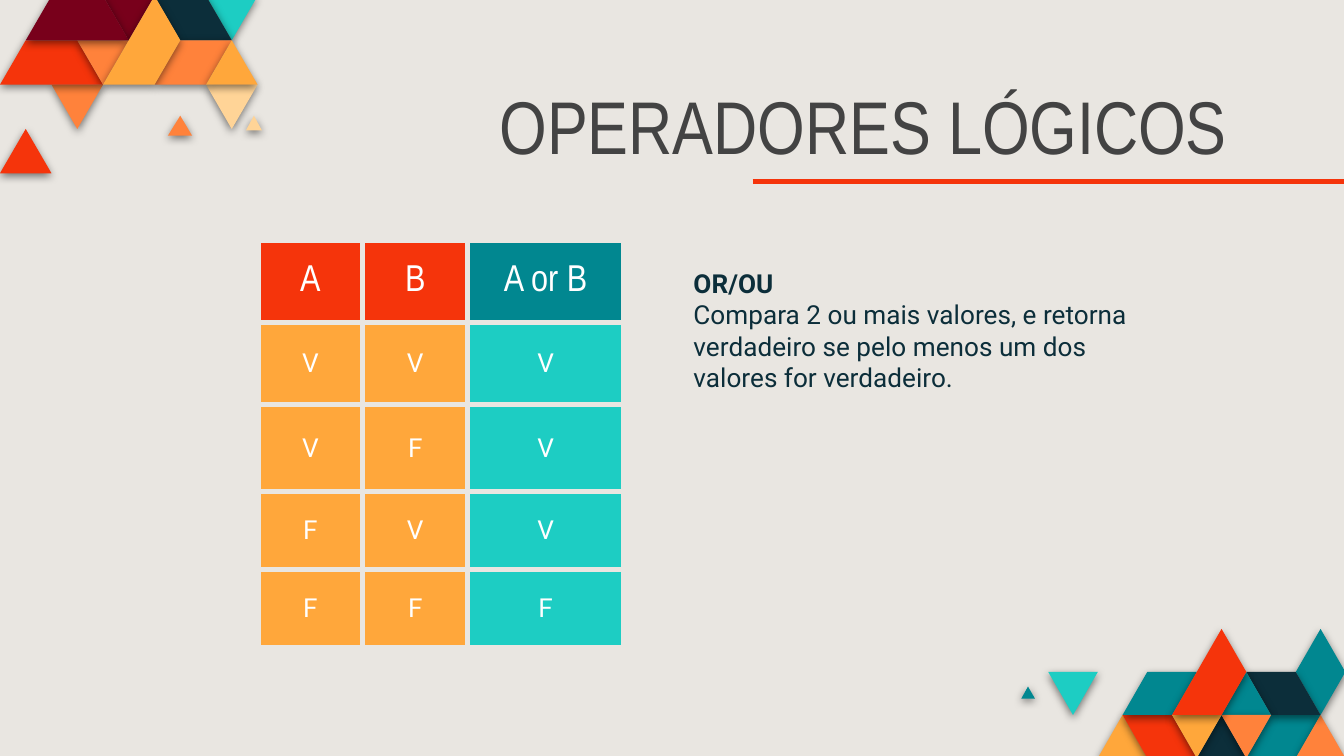
from dataclasses import dataclass

import pptx
import pptx.dml.color
import pptx.enum.shapes
import pptx.enum.text
import pptx.oxml
import pptx.oxml.ns
import pptx.util

Inches = pptx.util.Inches
Pt = pptx.util.Pt
Anchor = pptx.enum.text.MSO_ANCHOR
Align = pptx.enum.text.PP_ALIGN


@dataclass(frozen=True)
class Theme:
    paper: str = "E9E6E1"
    grey: str = "434343"
    white: str = "FFFFFF"
    red: str = "F5340B"
    maroon: str = "78001B"
    orange: str = "FF823B"
    amber: str = "FFA73B"
    cream: str = "FFD497"
    navy: str = "0C2E3A"
    teal: str = "018790"
    aqua: str = "1DCDC3"
    head_font: str = "Arial Narrow"
    body_font: str = "Roboto"
    title_size: int = 40
    head_size: int = 20
    body_size: int = 14


@dataclass(frozen=True)
class Lattice:
    """Triangular grid: half a triangle wide by one triangle high."""
    left: float
    top: float
    dx: float
    dy: float

    def at(self, col: float, row: float) -> tuple[int, int]:
        return Inches(self.left + col * self.dx), Inches(self.top + row * self.dy)


@dataclass(frozen=True)
class Tile:
    color: str
    points: tuple[tuple[float, float], ...]


T = Theme()

# Mosaic tiles in lattice coordinates, back to front
TOP_GRID = Lattice(0, -0.03, 2.3 / 12, 0.33)
TOP_TILES = [
    Tile(T.maroon, ((6, 0), (5, 1), (4, 0))),
    Tile(T.aqua, ((10, 0), (9, 1), (8, 0))),
    Tile(T.navy, ((9, 1), (7, 1), (6, 0), (8, 0))),
    Tile(T.cream, ((10, 2), (9, 3), (8, 2))),
    Tile(T.orange, ((7.46, 3.15), (6.52, 3.15), (7, 2.7))),
    Tile(T.cream, ((10.17, 3.03), (9.55, 3.03), (9.86, 2.7))),
    Tile(T.orange, ((9, 1), (8, 2), (6, 2), (7, 1))),
    Tile(T.amber, ((10, 2), (8, 2), (9, 1))),
    Tile(T.orange, ((4, 2), (3, 3), (2, 2))),
    Tile(T.red, ((2, 4), (0, 4), (1, 3))),
    Tile(T.red, ((4, 2), (0, 2), (1, 1), (3, 1))),
    Tile(T.orange, ((5, 1), (4, 2), (3, 1))),
    Tile(T.maroon, ((5, 1), (1, 1), (2, 0), (4, 0))),
    Tile(T.amber, ((7, 1), (6, 2), (4, 2), (6, 0))),
]
BOTTOM_GRID = Lattice(7.8, 4.68, 2.21 / 12, 0.32)
BOTTOM_TILES = [
    Tile(T.amber, ((2, 3), (3, 2), (4, 3))),
    Tile(T.red, ((3, 2), (5, 2), (6, 3), (4, 3))),
    Tile(T.teal, ((8, 3), (9, 2), (11, 2), (10, 3))),
    Tile(T.orange, ((10, 3), (11, 2), (12, 3))),
    Tile(T.navy, ((6, 3), (7, 2), (8, 3))),
    Tile(T.teal, ((3, 2), (4, 1), (6, 1), (5, 2))),
    Tile(T.teal, ((-1.09, 1.62), (-0.82, 1.34), (-0.54, 1.62))),
    Tile(T.aqua, ((0, 1), (2, 1), (1, 2))),
    Tile(T.teal, ((10, 1), (11, 0), (12, 1), (11, 2))),
    Tile(T.navy, ((8, 1), (10, 1), (11, 2), (9, 2))),
    Tile(T.teal, ((7, 2), (8, 1), (9, 2))),
    Tile(T.orange, ((7, 2), (9, 2), (8, 3))),
    Tile(T.amber, ((5, 2), (7, 2), (6, 3))),
    Tile(T.red, ((5, 2), (7, 0), (8, 1), (7, 2))),
]

COL_WIDTHS = [0.78, 0.78, 1.16]
ROW_HEIGHTS = [0.61, 0.61, 0.65, 0.58, 0.58]
TRUTH_TABLE = [["A", "B", "A or B"], "VVV", "VFV", "FVV", "FFF"]

EXPLANATION = [
    ("OR/OU", True),
    ("Compara 2 ou mais valores, e retorna verdadeiro se pelo menos um dos", False),
    ("valores for verdadeiro.", False),
]


def rgb(color: str) -> pptx.dml.color.RGBColor:
    return pptx.dml.color.RGBColor.from_string(color)


def paint(fill, color: str) -> None:
    fill.solid()
    fill.fore_color.rgb = rgb(color)


def add_run(p, text: str, font: str, size: int, color: str, bold: bool = False) -> None:
    r = p.add_run()
    r.text = text
    r.font.name = font
    r.font.size = Pt(size)
    r.font.bold = bold
    r.font.color.rgb = rgb(color)


def place(sp, left: float, top: float, width: float, height: float, anchor):
    """Move a placeholder and return its text frame, ready for text."""
    sp.left, sp.top = Inches(left), Inches(top)
    sp.width, sp.height = Inches(width), Inches(height)
    tf = sp.text_frame
    tf.word_wrap = True
    tf.auto_size = pptx.enum.text.MSO_AUTO_SIZE.NONE
    tf.vertical_anchor = anchor
    tf.margin_left = tf.margin_right = tf.margin_top = tf.margin_bottom = Inches(0.1)
    return tf


def set_effects(sp, effects: str = "") -> None:
    ns = pptx.oxml.ns.nsdecls("a")
    xml = f"<a:effectLst {ns}>{effects}</a:effectLst>"
    sp._element.spPr.append(pptx.oxml.parse_xml(xml))


def draw_mosaic(s, grid: Lattice, tiles: list[Tile]) -> None:
    for tile in tiles:
        start, *rest = [grid.at(*point) for point in tile.points]
        builder = s.shapes.build_freeform(*start)
        builder.add_line_segments(rest, close=True)
        sp = builder.convert_to_shape()
        paint(sp.fill, tile.color)
        sp.line.fill.background()
        set_effects(sp, '<a:outerShdw blurRad="57150" dist="19050" dir="5400000" '
                        'algn="bl" rotWithShape="0"><a:srgbClr val="000000">'
                        '<a:alpha val="50000"/></a:srgbClr></a:outerShdw>')


def set_borders(cell, color: str, width: float) -> None:
    ns = pptx.oxml.ns.nsdecls("a")
    for side in ("lnL", "lnR", "lnT", "lnB"):
        cell._tc.get_or_add_tcPr().append(pptx.oxml.parse_xml(
            f'<a:{side} {ns} w="{Pt(width)}"><a:solidFill><a:srgbClr val="{color}"/>'
            f'</a:solidFill></a:{side}>'))


def draw_truth_table(s) -> None:
    table = s.shapes.add_table(
        len(ROW_HEIGHTS), len(COL_WIDTHS), Inches(1.92), Inches(1.79),
        Inches(sum(COL_WIDTHS)), Inches(sum(ROW_HEIGHTS))).table
    for column, width in zip(table.columns, COL_WIDTHS):
        column.width = Inches(width)
    for row, height in zip(table.rows, ROW_HEIGHTS):
        row.height = Inches(height)
    for i, values in enumerate(TRUTH_TABLE):
        font, size = (T.body_font, T.body_size) if i else (T.head_font, T.head_size)
        inputs, result = (T.amber, T.aqua) if i else (T.red, T.teal)
        for j, value in enumerate(values):
            cell = table.cell(i, j)
            set_borders(cell, T.paper, 3)
            paint(cell.fill, result if j == 2 else inputs)
            cell.vertical_anchor = Anchor.MIDDLE
            cell.margin_left = cell.margin_right = Inches(0.1)
            cell.margin_top = cell.margin_bottom = Inches(0.1)
            p = cell.text_frame.paragraphs[0]
            p.alignment = Align.CENTER
            add_run(p, value, font, size, T.white)


def main() -> None:
    prs = pptx.Presentation()
    prs.slide_width = Inches(10)
    prs.slide_height = prs.slide_width * 9 // 16
    s = prs.slides.add_slide(prs.slide_layouts[0])
    paint(s.background.fill, T.paper)

    # Corner mosaics
    draw_mosaic(s, TOP_GRID, TOP_TILES)
    draw_mosaic(s, BOTTOM_GRID, BOTTOM_TILES)

    # Title and its rule
    p = place(s.shapes.title, 1.92, 0.73, 7.31, 0.63, Anchor.BOTTOM).paragraphs[0]
    p.alignment = Align.RIGHT
    p.line_spacing = 0.8
    add_run(p, "OPERADORES LÓGICOS", T.head_font, T.title_size, T.grey)
    rule = s.shapes.add_connector(pptx.enum.shapes.MSO_CONNECTOR.STRAIGHT,
                                  Inches(5.6), Inches(1.35), Inches(10), Inches(1.35))
    rule.line.color.rgb = rgb(T.red)
    rule.line.width = Pt(2.25)
    set_effects(rule)

    draw_truth_table(s)

    # Explanation
    tf = place(s.placeholders[1], 5.06, 1.89, 4.21, 2.29, Anchor.TOP)
    for i, (text, bold) in enumerate(EXPLANATION):
        p = tf.add_paragraph() if i else tf.paragraphs[0]
        p.alignment = Align.LEFT
        p.space_before = Pt(0)
        add_run(p, text, T.body_font, T.body_size, T.navy, bold)

    prs.save("out.pptx")


if __name__ == "__main__":
    main()
